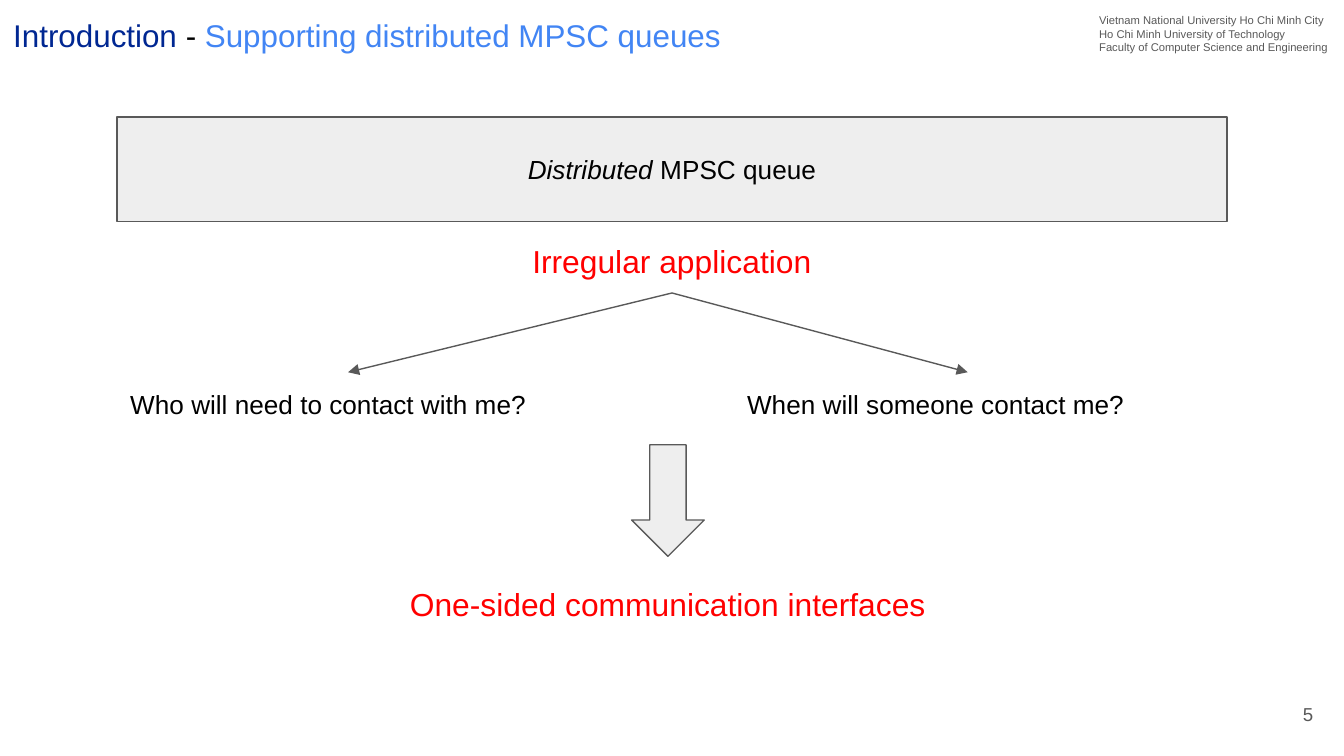
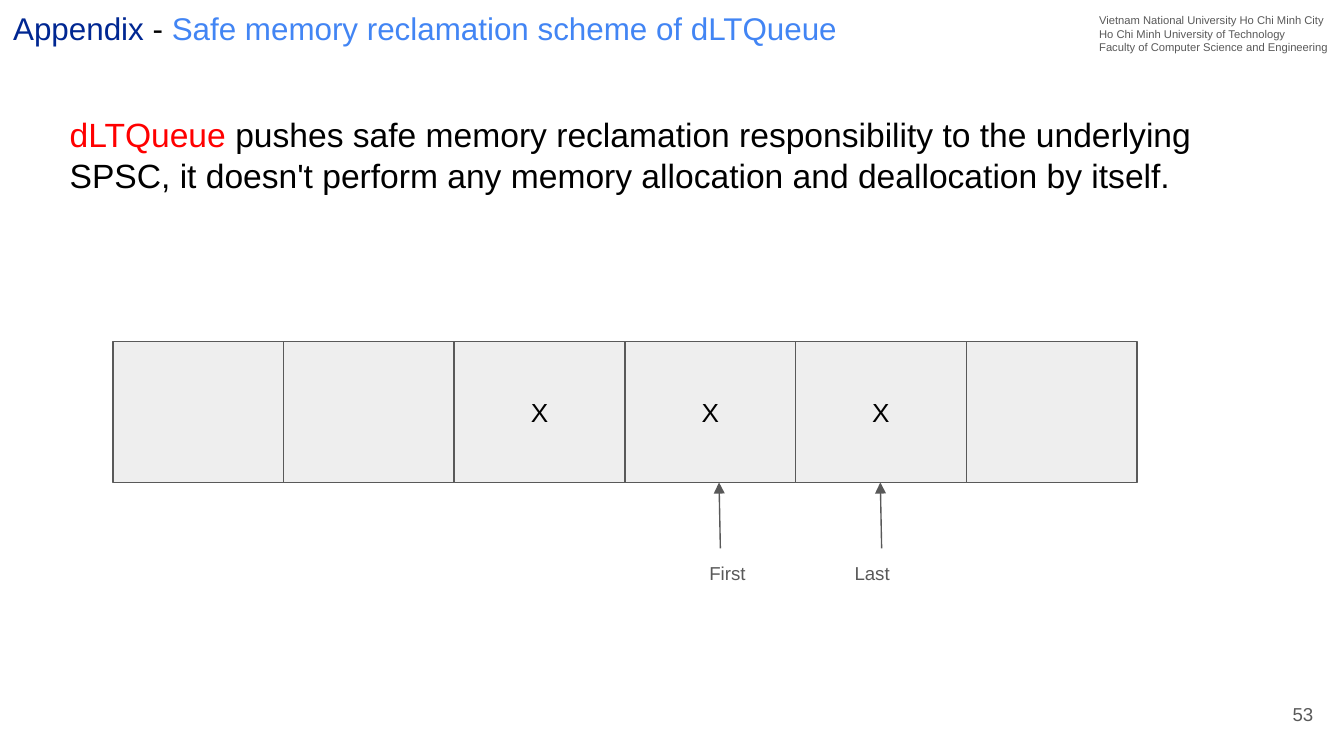
from lxml.etree import SubElement
from pptx import Presentation
from pptx.dml.color import RGBColor
from pptx.enum.shapes import MSO_CONNECTOR, MSO_SHAPE
from pptx.enum.text import MSO_ANCHOR, PP_ALIGN
from pptx.oxml.ns import qn
from pptx.util import Inches, Pt

WIDTH = 10
HEIGHT = WIDTH * 9 / 16
INSET = 0.1
FONT = "Arial"
NAVY = RGBColor(0x00, 0x27, 0x92)
BLUE = RGBColor(0x42, 0x85, 0xF4)
RED = RGBColor(0xFF, 0x00, 0x00)
BLACK = RGBColor(0x00, 0x00, 0x00)
GRAY = RGBColor(0x59, 0x59, 0x59)
PALE = RGBColor(0xEE, 0xEE, 0xEE)

AFFILIATION = [
    "Vietnam National University Ho Chi Minh City",
    "Ho Chi Minh University of Technology",
    "Faculty of Computer Science and Engineering",
]

INTRODUCTION = {
    "section": "Introduction",
    "topic": "Supporting distributed MPSC queues",
    "number": 5,
    "title_height": 0.5,
}
QUEUE_KIND = [("Distributed", {"italic": True}), (" MPSC queue", {})]
CAUSE = "Irregular application"
# question, left edge of its box, end of the arrow leading to it
QUESTIONS = [
    ("Who will need to contact with me?", 0.87, 2.59),
    ("When will someone contact me?", 5.46, 7.2),
]
CONCLUSION = "One-sided communication interfaces"

APPENDIX = {
    "section": "Appendix",
    "topic": "Safe memory reclamation scheme of dLTQueue",
    "number": 53,
    "title_height": 0.45,
}
RECLAMATION = [
    ("dLTQueue", {"color": RED}),
    (" pushes safe memory reclamation responsibility to the underlying SPSC, "
     "it doesn't perform any memory allocation and deallocation by itself.", {}),
]
QUEUE_CELLS = ["", "", "X", "X", "X", ""]
# label, label left, label width, arrow tip
POINTERS = [("First", 5.18, 0.6, 5.35), ("Last", 6.26, 0.52, 6.55)]


def write(shape, paragraphs, size, color=BLACK, align=PP_ALIGN.LEFT, anchor=MSO_ANCHOR.TOP):
    """Fill a shape with paragraphs, each a string or a list of (text, format) runs."""
    frame = shape.text_frame
    frame.word_wrap = True
    frame.vertical_anchor = anchor
    for side in ("left", "top", "right", "bottom"):
        setattr(frame, f"margin_{side}", Inches(INSET))
    for index, runs in enumerate(paragraphs):
        paragraph = frame.add_paragraph() if index else frame.paragraphs[0]
        paragraph.alignment = align
        for text, changes in [(runs, {})] if isinstance(runs, str) else runs:
            run = paragraph.add_run()
            run.text = text
            look = {"name": FONT, "size": Pt(size), "color": color, **changes}
            run.font.color.rgb = look.pop("color")
            for key, value in look.items():
                setattr(run.font, key, value)


def add_text(slide, box, paragraphs, size, **style):
    write(slide.shapes.add_textbox(*map(Inches, box)), paragraphs, size, **style)


def add_block(slide, box, runs=None, preset=MSO_SHAPE.RECTANGLE):
    block = slide.shapes.add_shape(preset, *map(Inches, box))
    block.shadow.inherit = False
    block.fill.solid()
    block.fill.fore_color.rgb = PALE
    block.line.color.rgb = GRAY
    block.line.width = Pt(0.75)
    if runs:
        write(block, [runs], 14, align=PP_ALIGN.CENTER, anchor=MSO_ANCHOR.MIDDLE)


def add_arrow(slide, start, end):
    arrow = slide.shapes.add_connector(MSO_CONNECTOR.STRAIGHT, *map(Inches, start + end))
    arrow.line.color.rgb = GRAY
    arrow.line.width = Pt(0.75)
    SubElement(arrow.line._get_or_add_ln(), qn("a:tailEnd"), type="triangle")
    SubElement(arrow._element.spPr, qn("a:effectLst"))


def add_page(deck, page):
    """Add a blank slide with the shared title, affiliation and page number."""
    slide = deck.slides.add_slide(deck.slide_layouts[6])
    title = [(page["section"] + " ", {"color": NAVY}), ("- ", {}),
             (page["topic"], {"color": BLUE})]
    add_text(slide, (0, 0, 7.16, page["title_height"]), [title], 16.8,
             anchor=MSO_ANCHOR.BOTTOM)
    add_text(slide, (8.08, 0, WIDTH - 8.08, 0.5), AFFILIATION, 6, color=GRAY)
    add_text(slide, (9.27, 5.1, 0.6, 0.43), [str(page["number"])], 10, color=GRAY,
             align=PP_ALIGN.RIGHT, anchor=MSO_ANCHOR.MIDDLE)
    return slide


def build_introduction(deck):
    slide = add_page(deck, INTRODUCTION)
    margin = 0.87
    band = WIDTH - 2 * margin
    add_block(slide, (margin, 0.87, band, 0.78), QUEUE_KIND)
    for text, left, top in [(CAUSE, margin, 1.7), (CONCLUSION, 0.84, 4.25)]:
        add_text(slide, (left, top, band, 0.49), [text], 17, color=RED,
                 align=PP_ALIGN.CENTER)
    for question, left, tip in QUESTIONS:
        add_arrow(slide, (WIDTH / 2, 2.18), (tip, 2.77))
        add_text(slide, (left, 2.79, 3.69, 0.44), [question], 14)
    add_block(slide, (4.7, 3.31, 0.54, 0.83), preset=MSO_SHAPE.DOWN_ARROW)


def build_appendix(deck):
    slide = add_page(deck, APPENDIX)
    add_text(slide, (0.42, 0.75, 8.75, 0.81), [RECLAMATION], 18)
    left, top, cell_width, cell_height = 0.84, 2.54, 1.27, 1.05
    for column, mark in enumerate(QUEUE_CELLS):
        add_block(slide, (left + column * cell_width, top, cell_width, cell_height), mark)
    bottom = top + cell_height
    for label, label_left, label_width, tip in POINTERS:
        add_arrow(slide, (tip + 0.01, bottom + 0.49), (tip, bottom))
        add_text(slide, (label_left, bottom + 0.51, label_width, 0.37), [label], 10,
                 color=GRAY)


def main():
    deck = Presentation()
    deck.slide_width, deck.slide_height = Inches(WIDTH), Inches(HEIGHT)
    build_introduction(deck)
    build_appendix(deck)
    deck.save("out.pptx")


if __name__ == "__main__":
    main()
